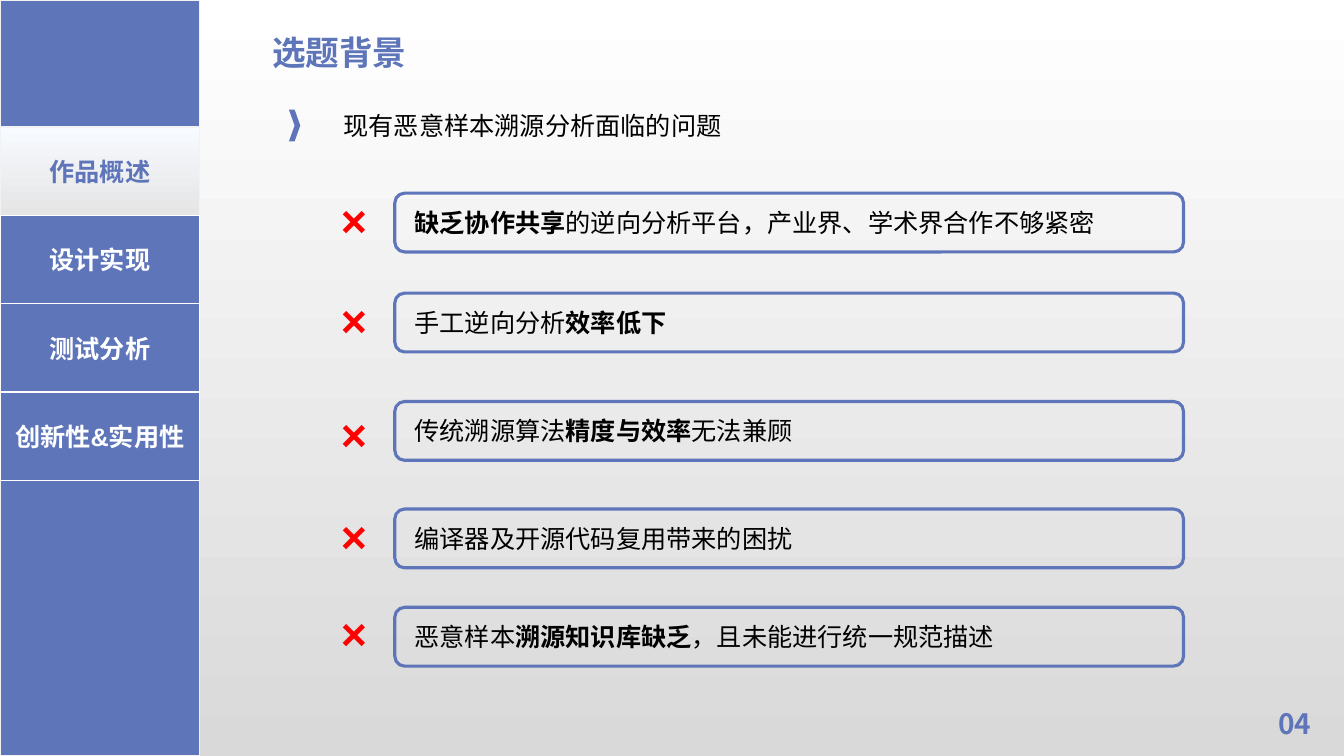
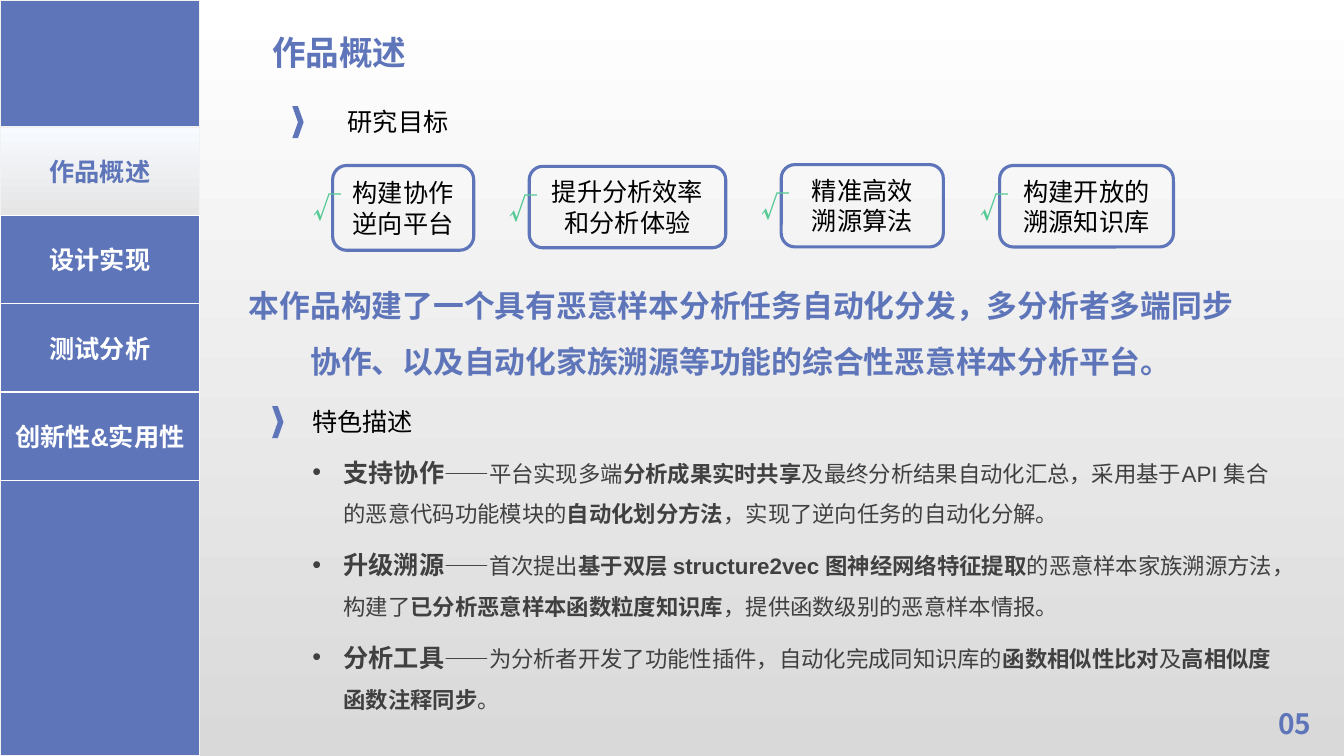
"""Build two sidebar slides on the background and the overview of the work."""
from lxml import etree
from pptx import Presentation
from pptx.dml.color import RGBColor
from pptx.enum.shapes import MSO_SHAPE
from pptx.enum.text import MSO_ANCHOR, MSO_AUTO_SIZE, PP_ALIGN
from pptx.oxml.ns import qn
from pptx.util import Inches, Pt

RECT, ROUNDED, CHEVRON = MSO_SHAPE.RECTANGLE, MSO_SHAPE.ROUNDED_RECTANGLE, MSO_SHAPE.CHEVRON
LEFT, CENTER = PP_ALIGN.LEFT, PP_ALIGN.CENTER
MIDDLE = MSO_ANCHOR.MIDDLE
NO_FIT = MSO_AUTO_SIZE.NONE

COLORS = {
    "accent": "5E75BA", "white": "FFFFFF", "border": "F2F2F2", "backdrop": "D9D9D9",
    "tab_top": "F7FAFE", "tab_bottom": "E5E5E5", "ink": "000000", "body": "404040",
    "cross": "FF0000", "check": "56CA95",
}
RGB = {name: RGBColor.from_string(value) for name, value in COLORS.items()}
BODY_FONT, NUMBER_FONT, CHECK_FONT = "Arial", "Noto Sans CJK SC", "Noto Sans CJK JP"

prs = Presentation()
prs.slide_width, prs.slide_height = Inches(13.333), Inches(7.5)
COL, ROW = prs.slide_width / 160, prs.slide_height / 90
SIDEBAR_WIDTH, TAB_TOP, TAB_HEIGHT = 23.76, 15.1, 10.53


def put(slide, kind, left, top, width, height, fill=None, line=None, weight=1):
    """Add a preset shape, or a text box if kind is None, placed on the grid."""
    area = [round(n) for n in (left * COL, top * ROW, width * COL, height * ROW)]
    if kind is None:
        item = slide.shapes.add_textbox(*area)
        item.text_frame.word_wrap = True
        return item
    item = slide.shapes.add_shape(kind, *area)
    item.shadow.inherit = False
    item.text_frame.vertical_anchor = MIDDLE
    if fill is None:
        item.fill.background()
    elif isinstance(fill, tuple):
        item.fill.gradient()
        item.fill.gradient_angle = 270
        for stop, name in zip(item.fill.gradient_stops, fill):
            stop.color.rgb = RGB[name]
    else:
        item.fill.solid()
        item.fill.fore_color.rgb = RGB[fill]
    if line is None:
        item.line.fill.background()
    else:
        item.line.color.rgb = RGB[line]
        item.line.width = Pt(weight)
    return item


def write(item, text, size, color, bold=False, align=LEFT, face=BODY_FONT, spacing=None,
          bullet=False, lead_size=None):
    """Write one paragraph a line; ** switches bold on and off."""
    frame = item.text_frame
    for index, content in enumerate(text.split("\n")):
        paragraph = frame.add_paragraph() if index else frame.paragraphs[0]
        paragraph.alignment = align
        if spacing:
            paragraph.line_spacing = spacing
            paragraph.space_before = Pt(5 if index else 0)
        if bullet:
            props = paragraph._p.get_or_add_pPr()
            props.set("marL", str(Inches(0.31)))
            props.set("indent", str(-Inches(0.31)))
            etree.SubElement(props, qn("a:buFont")).set("typeface", BODY_FONT)
            etree.SubElement(props, qn("a:buChar")).set("char", "•")
        font = paragraph.font
        font.name, font.size, font.bold = face, Pt(size), bold
        font.color.rgb = RGB[color]
        for part, words in enumerate(content.split("**")):
            if words:
                run = paragraph.add_run()
                run.text = words
                if part % 2:
                    run.font.bold = True
                    if part == 1 and lead_size:
                        run.font.size = Pt(lead_size)


backdrop = prs.slide_master.background.fill
backdrop.gradient()
backdrop.gradient_angle = 270
for stop, name in zip(backdrop.gradient_stops, ("white", "backdrop")):
    stop.color.rgb = RGB[name]

TABS = ["作品概述", "设计实现", "测试分析", "创新性&实用性"]
PAGES = [
    ("选题背景", "04", [("现有恶意样本溯源分析面临的问题", 34.4, 39.7, 12.5)]),
    ("作品概述", "05", [("研究目标", 34.8, 40.2, 12.1), ("特色描述", 32.4, 36, 47.8)]),
]
slides = []
for heading, number, sections in PAGES:
    slide = prs.slides.add_slide(prs.slide_layouts[5])
    slides.append(slide)
    title = slide.shapes.title
    title.left, title.top = round(31.2 * COL), round(3.24 * ROW)
    title.width, title.height = round(33 * COL), round(6 * ROW)
    title.text_frame.auto_size = NO_FIT
    title.text_frame.vertical_anchor = MIDDLE
    write(title, heading, 24, "accent", bold=True)

    put(slide, RECT, 0, 0, SIDEBAR_WIDTH, 90, "accent", "border")
    for index, label in enumerate(TABS):
        active = index == 0
        tab = put(slide, RECT, 0, TAB_TOP + index * TAB_HEIGHT, SIDEBAR_WIDTH, TAB_HEIGHT,
                  ("tab_top", "tab_bottom") if active else None,
                  "border" if active else "white")
        write(tab, label, 18, "accent" if active else "white", bold=True, align=CENTER)

    page_number = put(slide, None, 151, 83.5, 7.3, 5.3)
    write(page_number, number, 20, "accent", bold=True, face=NUMBER_FONT)

    for section, marker_left, text_left, top in sections:
        put(slide, CHEVRON, marker_left, top + 0.55, 1.35, 3.8, "accent")
        write(put(slide, None, text_left, top, 69, 4.8), section, 18, "ink")

background, overview = slides

PROBLEMS = [
    ("**缺乏协作共享**的逆向分析平台，产业界、学术界合作不够紧密", 23, 22.3),
    ("手工逆向分析**效率低下**", 34.9, 34.2),
    ("传统溯源算法**精度与效率**无法兼顾", 47.8, 47.8),
    ("编译器及开源代码复用带来的困扰", 60.6, 60),
    ("恶意样本**溯源知识库缺乏**，且未能进行统一规范描述", 72.3, 71.5),
]
for problem, top, cross_top in PROBLEMS:
    card = put(background, ROUNDED, 47, top, 93.9, 7, line="accent", weight=2.25)
    card.text_frame.margin_left = round(2 * COL)
    write(card, problem, 18, "ink")
    write(put(background, None, 39.4, cross_top, 7, 7.7), "×", 32, "cross", bold=True)

GOALS = [
    ("构建协作逆向平台", 39.6, 19.7, 16.8, 10.1),
    ("提升分析效率和分析体验", 63, 19.8, 23.4, 9.7),
    ("精准高效\n溯源算法", 93, 19.6, 19.3, 9.8),
    ("构建开放的溯源知识库", 119, 19.7, 20.7, 9.7),
]
for goal, left, top, width, height in GOALS:
    card = put(overview, ROUNDED, left, top, width, height, line="accent", weight=2.25)
    write(card, goal, 18, "ink", align=CENTER)
    check = put(overview, None, left - 3.5, top + 2.4, 5.8, 5.3)
    check.text_frame.word_wrap = False
    write(check, "√", 20, "check", bold=True, face=CHECK_FONT)

SUMMARY = ("本作品构建了一个具有恶意样本分析任务自动化分发，多分析者多端同步协作、"
           "以及自动化家族溯源等功能的综合性恶意样本分析平台。")
write(put(overview, None, 27.6, 31.4, 121.2, 15), SUMMARY, 22, "accent", bold=True,
      align=CENTER, spacing=1.5)

FEATURES = "\n".join([
    "**支持协作**——平台实现多端**分析成果实时共享**及最终分析结果自动化汇总，"
    "采用基于API 集合的恶意代码功能模块的**自动化划分方法**，实现了逆向任务的自动化分解。",
    "**升级溯源**——首次提出**基于双层 structure2vec 图神经网络特征提取**的恶意样本家族溯源方法，"
    "构建了**已分析恶意样本函数粒度知识库**，提供函数级别的恶意样本情报。",
    "**分析工具**——为分析者开发了功能性插件，自动化完成同知识库的**函数相似性比对**及"
    "**高相似度函数注释同步**。",
])
write(put(overview, None, 36, 52, 117.2, 33.7), FEATURES, 16, "body", spacing=1.5,
      bullet=True, lead_size=18)

prs.save("out.pptx")
